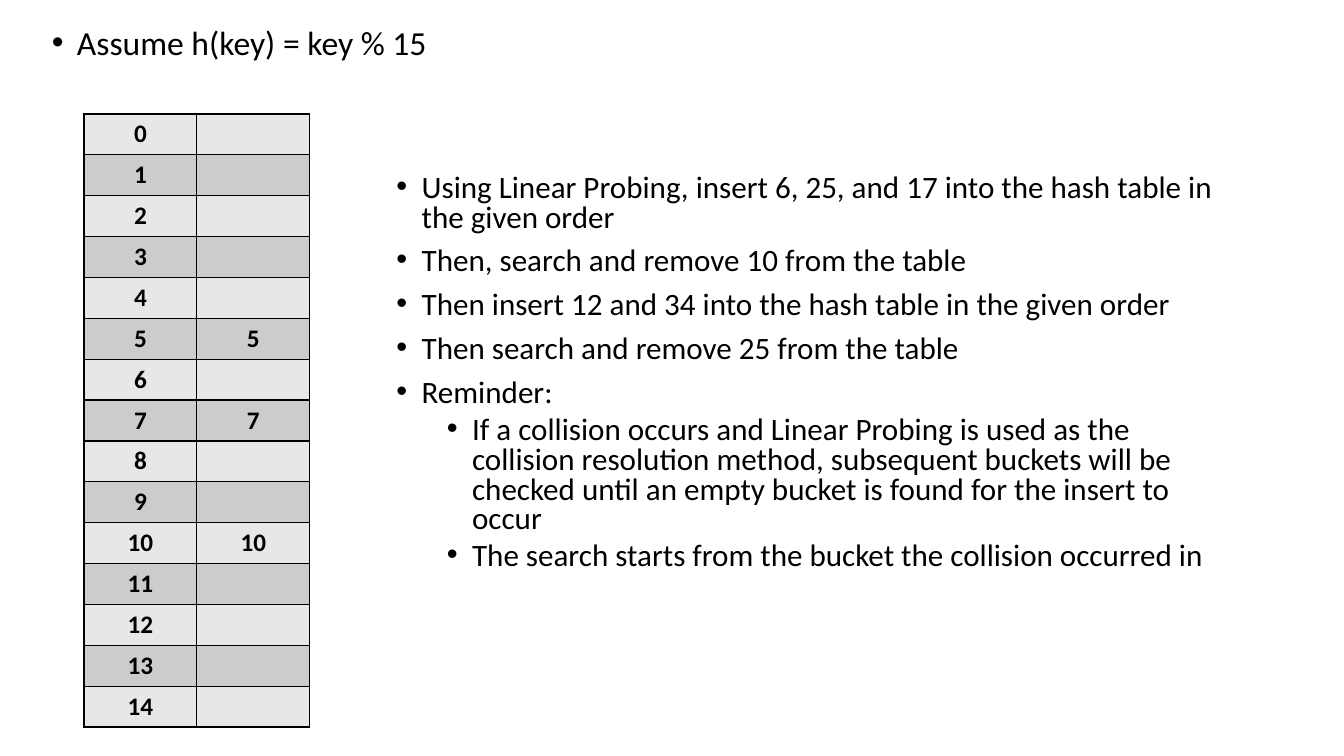
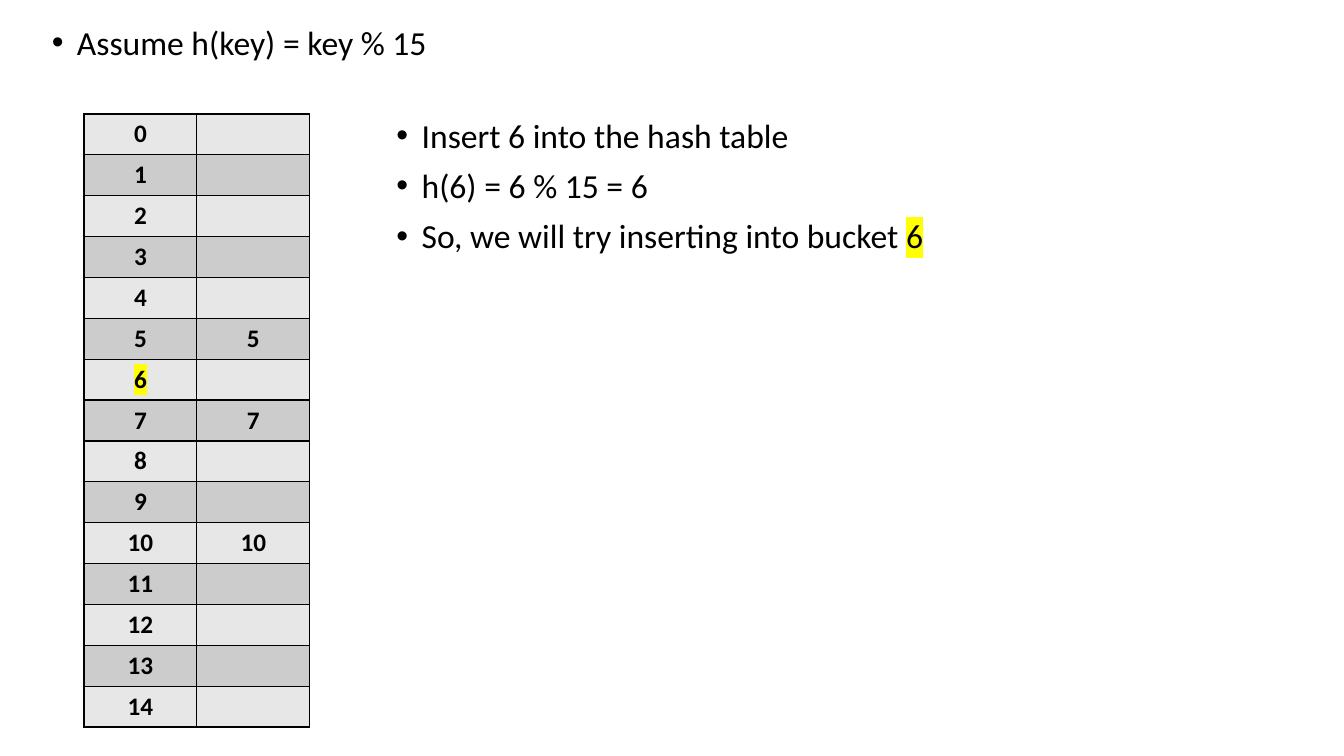
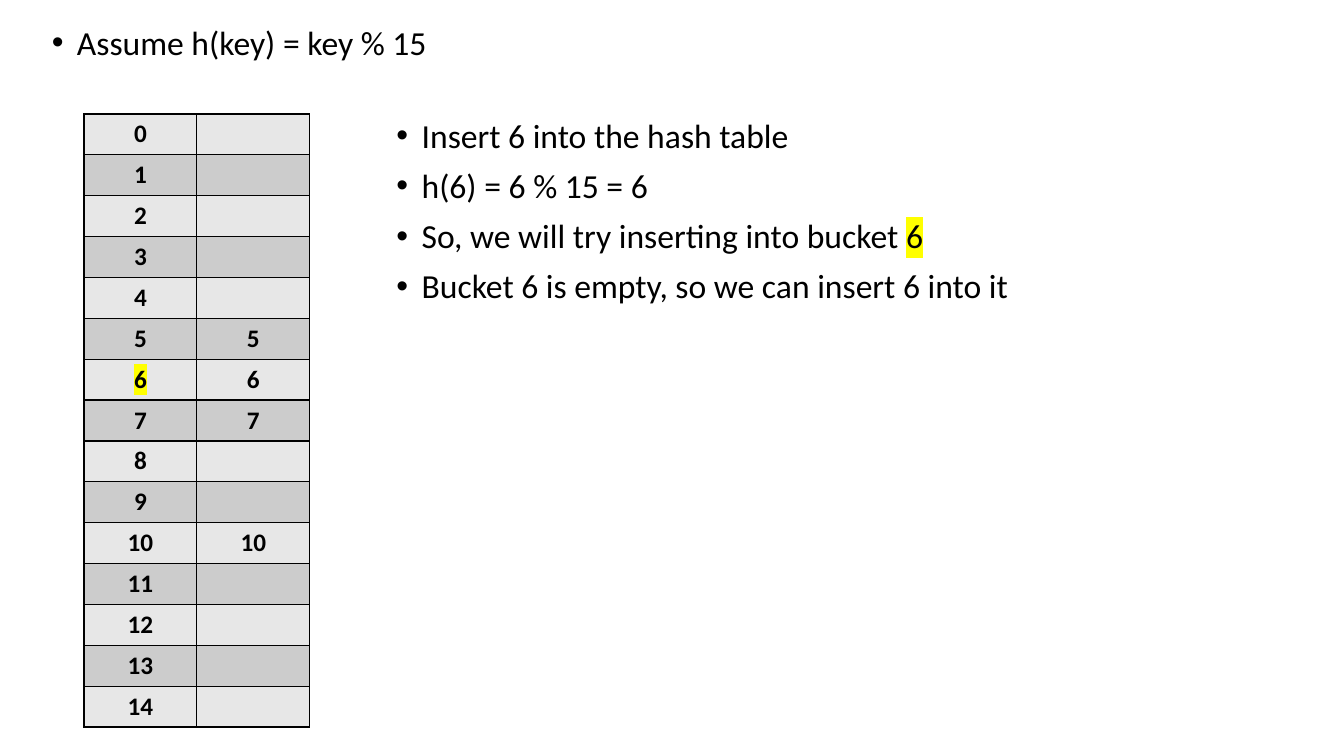
import pptx
import pptx.dml.color
import pptx.enum.text
import pptx.oxml
import pptx.oxml.ns
import pptx.util

# Shared look
WIDE, HIGH = 13.33, 7.5
FONT = "Calibri"
INK, MARK, BANDS = "000000", "FFFF00", ("E7E7E7", "CCCCCC")

# Boxes: left, top, width, height as percent of the slide
LEAD = (3.1, 2.8, 86.25, 10.1)
GRID = (6.25, 15.07, 16.8, 80)
STEPS = (28.75, 15.07, 62.3, 70.9)
TASK = (28.75, 22.4, 62.3, 58.7)

SIZE = 15
RULE = "Assume h(key) = key % 15"
START = (5, 7, 10)

# Asterisks enclose highlighted text; a pair is (level, text)
TASKS = [
    (0, "Using Linear Probing, insert 6, 25, and 17 into the hash table in the given order"),
    (0, "Then, search and remove 10 from the table"),
    (0, "Then insert 12 and 34 into the hash table in the given order"),
    (0, "Then search and remove 25 from the table"),
    (0, "Reminder:"),
    (1, "If a collision occurs and Linear Probing is used as the collision resolution "
        "method, subsequent buckets will be checked until an empty bucket is found for "
        "the insert to occur"),
    (1, "The search starts from the bucket the collision occurred in"),
]
TRY = [
    (0, "Insert 6 into the hash table"),
    (0, "h(6) = 6 % 15 = 6"),
    (0, "So, we will try inserting into bucket *6*"),
]
DONE = TRY + [(0, "Bucket 6 is empty, so we can insert 6 into it")]


def place(box):
    """Turn percentages into lengths."""
    return [pptx.util.Inches(part * full / 100)
            for part, full in zip(box, (WIDE, HIGH, WIDE, HIGH))]


def color(code):
    return pptx.dml.color.RGBColor.from_string(code)


def node(xml):
    """Parse one element of the drawing namespace."""
    head, tail = xml.split(" ", 1)
    return pptx.oxml.parse_xml(
        f"{head} {pptx.oxml.ns.nsdecls('a')} {tail}")


def write(para, text, size=24, bold=False):
    """Add text, with a highlight on parts between asterisks."""
    for spot, part in enumerate(text.split("*")):
        if not part:
            continue
        run = para.add_run()
        run.text = part
        font = run.font
        font.name, font.size, font.bold = FONT, pptx.util.Pt(size), bold
        font.color.rgb = color(INK)
        if spot % 2:
            fill = run._r.rPr.find(pptx.oxml.ns.qn("a:solidFill"))
            fill.addnext(node(
                f'<a:highlight ><a:srgbClr val="{MARK}"/></a:highlight>'))


def fill_list(shape, box, items, size=24, line=0.9):
    """Move a body placeholder and fill it with bullets."""
    shape.left, shape.top, shape.width, shape.height = place(box)
    frame = shape.text_frame
    frame.word_wrap = True
    frame.auto_size = pptx.enum.text.MSO_AUTO_SIZE.NONE
    frame.vertical_anchor = pptx.enum.text.MSO_ANCHOR.TOP
    for index, (level, text) in enumerate(items):
        para = frame.add_paragraph() if index else frame.paragraphs[0]
        para.level = level
        para.line_spacing = line
        para.space_before = pptx.util.Pt(5 if level else 10)
        props = para._p.get_or_add_pPr()
        props.set("marL", str(pptx.util.Inches(0.25 + 0.5 * level)))
        props.set("indent", str(pptx.util.Inches(-0.25)))
        props.append(node('<a:buFont typeface="Arial"/>'))
        props.append(node('<a:buChar char="•"/>'))
        write(para, text, size=size)


def style_cell(cell, text, fill):
    """Give a cell its band, borders and centred text."""
    cell.fill.solid()
    cell.fill.fore_color.rgb = color(fill)
    props = cell._tc.get_or_add_tcPr()
    for index, side in enumerate("LRTB"):
        props.insert(index, node(
            f'<a:ln{side} w="{pptx.util.Pt(1)}"><a:solidFill>'
            f'<a:srgbClr val="{INK}"/></a:solidFill></a:ln{side}>'))
    para = cell.text_frame.paragraphs[0]
    para.alignment = pptx.enum.text.PP_ALIGN.CENTER
    write(para, text, size=18, bold=True)


def add_hash(slide, keys, hot=None):
    """Draw the buckets, each key in the bucket of its hash."""
    table = slide.shapes.add_table(SIZE, 2, *place(GRID)).table
    held = {key % SIZE: str(key) for key in keys}
    for row in range(SIZE):
        label = f"*{row}*" if row == hot else str(row)
        for col, text in enumerate((label, held.get(row, ""))):
            style_cell(table.cell(row, col), text, BANDS[row % 2])


def add_slide(deck, items, keys, hot=None, box=STEPS, **style):
    """Build a slide: rule on top, buckets left, list right."""
    slide = deck.slides.add_slide(deck.slide_layouts.get_by_name("Two Content"))
    title = slide.shapes.title._element
    title.getparent().remove(title)
    lead, body = slide.placeholders
    fill_list(lead, LEAD, [(0, RULE)])
    add_hash(slide, keys, hot)
    fill_list(body, box, items, **style)


def main():
    deck = pptx.Presentation()
    deck.slide_width = pptx.util.Inches(WIDE)
    deck.slide_height = pptx.util.Inches(HIGH)
    add_slide(deck, TASKS, START, box=TASK, size=22.2, line=0.8)
    add_slide(deck, TRY, START, hot=6)
    add_slide(deck, DONE, START + (6,), hot=6)
    deck.save("out.pptx")


if __name__ == "__main__":
    main()
